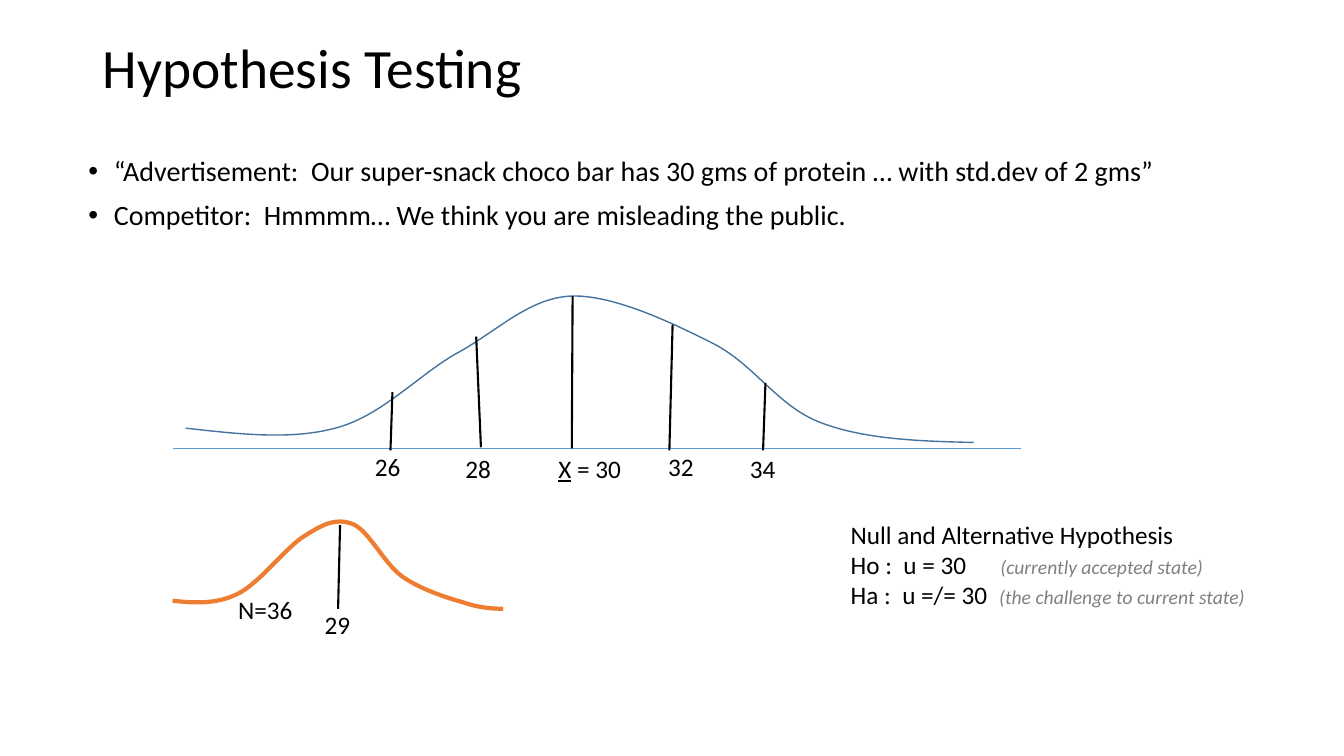
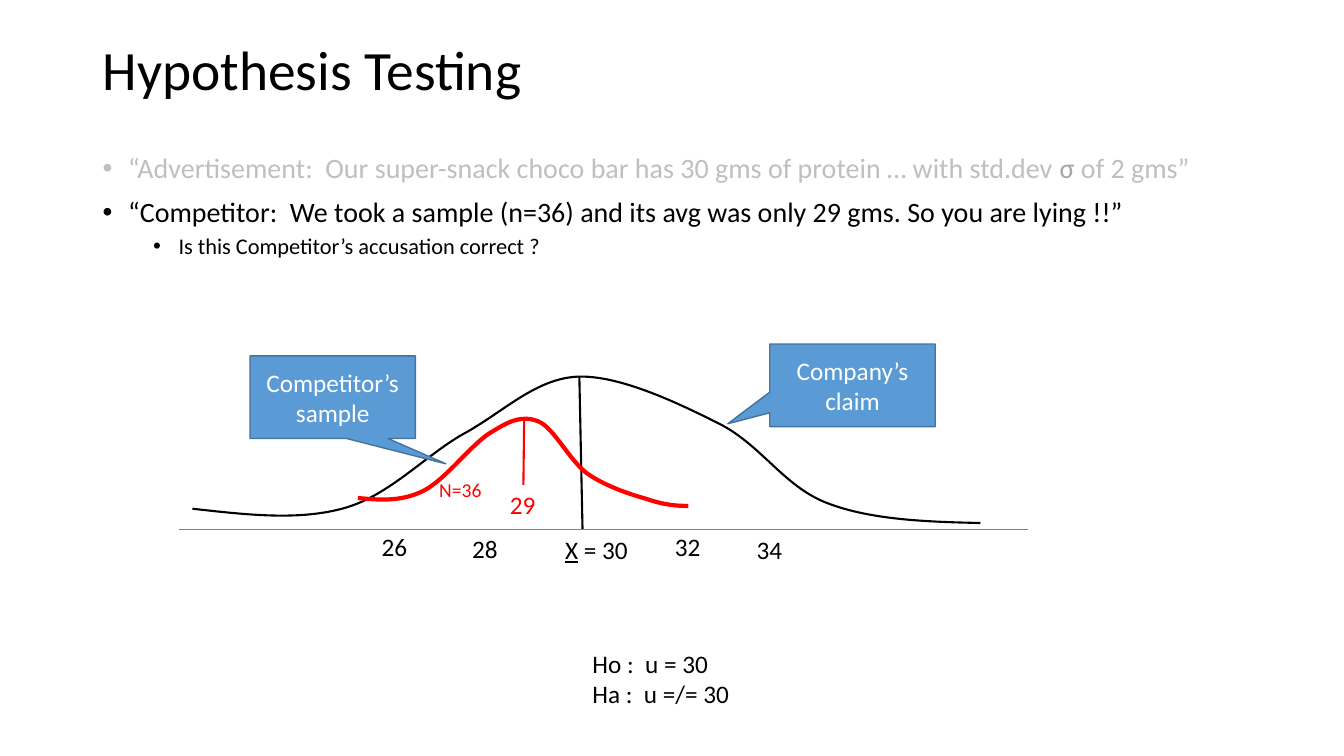
from lxml.etree import SubElement
from pptx import Presentation
from pptx.dml.color import RGBColor
from pptx.enum.shapes import MSO_CONNECTOR, MSO_SHAPE
from pptx.enum.text import MSO_ANCHOR, MSO_AUTO_SIZE, PP_ALIGN
from pptx.oxml.ns import qn
from pptx.util import Cm, Pt

BLACK = RGBColor(0x00, 0x00, 0x00)
WHITE = RGBColor(0xFF, 0xFF, 0xFF)
GRAY = RGBColor(0x80, 0x80, 0x80)
SILVER = RGBColor(0xBF, 0xBF, 0xBF)
SIGMA_GRAY = RGBColor(0xA6, 0xA6, 0xA6)
BLUE = RGBColor(0x5B, 0x9B, 0xD5)
DARK_BLUE = RGBColor(0x43, 0x73, 0x9E)
ORANGE = RGBColor(0xED, 0x7D, 0x31)
RED = RGBColor(0xFF, 0x00, 0x00)

# Paragraph formats
PLAIN = {}
TITLE = {"line_spacing": 0.9}
FIRST_BULLET = {"line_spacing": 0.9, "space_before": Pt(0)}
BULLET = {"line_spacing": 0.9, "space_before": Pt(10)}
SUB_BULLET = {"line_spacing": 0.9, "space_before": Pt(5), "level": 1}
CENTER = {"alignment": PP_ALIGN.CENTER}

# Run formats
HEAD = {"size": Pt(39.6)}
BODY = {"size": Pt(20)}
FADED = {"size": Pt(20), "color": SILVER}
SUB = {"size": Pt(16)}
LABEL = {"size": Pt(18)}
NOTE = {"size": Pt(14), "color": GRAY, "italic": True}

# Curves: a start point, then cubic Bézier triples, in cm from the curve's origin
POPULATION = [
    (0.33, -0.51),
    (1.68, -0.36), (3.02, -0.2), (4.17, -0.53),
    (5.33, -0.86), (6.25, -1.91), (7.24, -2.44),
    (8.23, -3), (9.02, -3.81), (10.08, -3.84),
    (11.15, -3.86), (12.62, -3.15), (13.67, -2.62),
    (14.71, -2.06), (15.27, -1.04), (16.36, -0.64),
    (17.45, -0.23), (18.82, -0.18), (20.19, -0.15),
]
SAMPLE = [
    (0, 2.01),
    (0.53, 2.06), (1.09, 2.11), (1.65, 1.83),
    (2.21, 1.55), (2.87, 0.64), (3.35, 0.36),
    (3.84, 0.05), (4.14, -0.08), (4.55, 0.08),
    (4.95, 0.25), (5.33, 1.07), (5.79, 1.4),
    (6.22, 1.7), (6.83, 1.91), (7.26, 2.03),
    (7.7, 2.18), (8, 2.21), (8.33, 2.21),
]
AXIS = (0, 0, 21.38, 0)
TWO_DIGITS, N_WIDE = 1.17, 1.9
AXIS_LABELS = [
    (4.85, -0.06, TWO_DIGITS, [("26", LABEL)]),
    (7.13, -0.01, TWO_DIGITS, [("28", LABEL)]),
    (9.47, 0, 2.11, [("X", {**LABEL, "underline": True}), (" = 30", LABEL)]),
    (12.24, -0.06, TWO_DIGITS, [("32", LABEL)]),
    (14.3, 0, TWO_DIGITS, [("34", LABEL)]),
]

# A figure: origin, curve, curve colour, curve width,
# lines (ends, colour, width), labels (left, top, width, runs)
SLIDES = [
    {
        "title_height": 1.6,
        "body": (1.98, 3.84),
        "bullets": [
            (FIRST_BULLET, [("“Advertisement:  Our super-snack choco bar has 30 gms of protein … "
                             "with std.dev of 2 gms”", BODY)]),
            (BULLET, [("Competitor:  Hmmmm… We think you are misleading the public.", BODY)]),
        ],
        "figures": [
            ((4.35, 11.3), POPULATION, DARK_BLUE, 1,
             [(AXIS, BLUE, 0.5)] + [(ends, BLACK, 1.5) for ends in (
                 (5.54, -1.42, 5.49, 0.05), (7.65, -2.82, 7.77, -0.03),
                 (10.08, -3.84, 10.06, 0), (12.6, -3.12, 12.52, 0.05),
                 (14.94, -1.65, 14.88, 0.05))],
             AXIS_LABELS),
            ((4.35, 13.13), SAMPLE, ORANGE, 3,
             [((4.22, 0.1, 4.17, 2.21), BLACK, 1.5)],
             [(3.58, 2.1, TWO_DIGITS, [("29", LABEL)]),
              (1.4, 1.72, N_WIDE, [("N=36", LABEL)])]),
        ],
        "hypothesis_box": (21.19, 12.96, 10.54, 2.57),
        "hypotheses": [
            (PLAIN, [("Null and Alternative Hypothesis", LABEL)]),
            ({"tab": 3.77}, [("Ho :  u = 30\t", LABEL), ("(currently accepted state)", NOTE)]),
            ({"tab": 3.74}, [("Ha :  u =/= 30\t", LABEL),
                             ("(the challenge to current state)", NOTE)]),
        ],
        "callouts": [],
    },
    {
        "title_height": 1.7,
        "body": (2.34, 3.76),
        "bullets": [
            (FIRST_BULLET, [("“Advertisement:  Our super-snack choco bar has 30 gms of protein … "
                             "with std.dev ", FADED),
                            ("σ ", {**FADED, "color": SIGMA_GRAY}),
                            ("of 2 gms”", FADED)]),
            (BULLET, [("“Competitor:  We took a sample (n=36) and its avg was only 29 gms. "
                       "So you are lying !!”", BODY)]),
            (SUB_BULLET, [("Is this Competitor’s accusation correct ?", SUB)]),
        ],
        "figures": [
            ((4.52, 13.33), POPULATION, BLACK, 1.5,
             [(AXIS, GRAY, 0.5), ((10.08, -3.84, 10.16, 0), BLACK, 1.5)],
             AXIS_LABELS),
            ((9.02, 10.54), SAMPLE, RED, 3,
             [((4.19, -0.03, 4.17, 1.68), RED, 1.5)],
             [(3.58, 1.67, TWO_DIGITS, [("29", {**LABEL, "color": RED})]),
              (1.8, 1.37, 1.6, [("N=36", {"size": Pt(14), "color": RED})])]),
        ],
        "hypothesis_box": (14.68, 16.2, 4.01, 1.8),
        "hypotheses": [
            (PLAIN, [("Ho :  u = 30", LABEL)]),
            (PLAIN, [("Ha :  u =/= 30", LABEL)]),
        ],
        "callouts": [
            ("Company’s claim", (19.4, 8.67), (-0.754, 0.466)),
            ("Competitor’s sample", (6.3, 8.97), (0.684, 0.807)),
        ],
    },
]


def write(tf, paragraphs, bulleted=False):
    """Fill a text frame with (paragraph format, [(text, run format)]) pairs."""
    for i, (layout, runs) in enumerate(paragraphs):
        p = tf.paragraphs[0] if i == 0 else tf.add_paragraph()
        for name, value in layout.items():
            if name != "tab":
                setattr(p, name, value)
        pPr = p._p.get_or_add_pPr()
        if bulleted:
            pPr.set("marL", str(Cm(0.64 + 1.27 * p.level)))
            pPr.set("indent", str(Cm(-0.64)))
            SubElement(pPr, qn("a:buFont")).set("typeface", "Arial")
            SubElement(pPr, qn("a:buChar")).set("char", "•")
        if "tab" in layout:
            tab = SubElement(SubElement(pPr, qn("a:tabLst")), qn("a:tab"))
            tab.set("pos", str(Cm(layout["tab"])))
            tab.set("algn", "l")
        for text, style in runs:
            r = p.add_run()
            r.text = text
            r.font.name = "Calibri"
            r.font.color.rgb = style.get("color", BLACK)
            for name, value in style.items():
                if name != "color":
                    setattr(r.font, name, value)


def add_text(s, box, paragraphs, wrap=False, bulleted=False):
    tf = s.shapes.add_textbox(*map(Cm, box)).text_frame
    tf.word_wrap = wrap
    tf.auto_size = MSO_AUTO_SIZE.NONE if wrap else MSO_AUTO_SIZE.SHAPE_TO_FIT_TEXT
    write(tf, paragraphs, bulleted)
    return tf


prs = Presentation()
prs.slide_width, prs.slide_height = Cm(33.87), Cm(19.05)

for content in SLIDES:
    s = prs.slides.add_slide(prs.slide_layouts[6])
    tf = add_text(s, (2.34, 0.99, 29.21, content["title_height"]),
                  [(TITLE, [("Hypothesis Testing", HEAD)])], wrap=True)
    tf.vertical_anchor = MSO_ANCHOR.MIDDLE
    add_text(s, (*content["body"], 29.21, 12.09), content["bullets"],
             wrap=True, bulleted=True)

    for (x, y), curve, color, width, lines, labels in content["figures"]:
        points = [(Cm(x + dx), Cm(y + dy)) for dx, dy in curve]
        outline = s.shapes.build_freeform(*points[0])
        outline.add_line_segments(points[3::3], close=False)
        sp = outline.convert_to_shape()
        # Turn each straight segment into a Bézier segment
        for i, segment in enumerate(list(sp._element.iter(qn("a:lnTo")))):
            segment.clear()
            segment.tag = qn("a:cubicBezTo")
            for px, py in points[3 * i + 1:3 * i + 4]:
                pt = SubElement(segment, qn("a:pt"))
                pt.set("x", str(px - sp.left))
                pt.set("y", str(py - sp.top))
        sp.shadow.inherit = False
        sp.fill.background()
        sp.line.color.rgb = color
        sp.line.width = Pt(width)

        for (x1, y1, x2, y2), line_color, line_width in lines:
            line = s.shapes.add_connector(MSO_CONNECTOR.STRAIGHT, Cm(x + x1), Cm(y + y1),
                                          Cm(x + x2), Cm(y + y2))
            line.line.color.rgb = line_color
            line.line.width = Pt(line_width)
            SubElement(line._element.spPr, qn("a:effectLst"))

        for dx, dy, w, runs in labels:
            add_text(s, (x + dx, y + dy, w, 1.02), [(PLAIN, runs)])

    add_text(s, content["hypothesis_box"], content["hypotheses"])

    for text, corner, pointer in content["callouts"]:
        sp = s.shapes.add_shape(MSO_SHAPE.RECTANGULAR_CALLOUT, *map(Cm, (*corner, 4.17, 2.08)))
        sp.adjustments[0], sp.adjustments[1] = pointer
        sp.shadow.inherit = False
        sp.fill.solid()
        sp.fill.fore_color.rgb = BLUE
        sp.line.color.rgb = DARK_BLUE
        sp.line.width = Pt(1)
        sp.text_frame.word_wrap = True
        sp.text_frame.vertical_anchor = MSO_ANCHOR.MIDDLE
        write(sp.text_frame, [(CENTER, [(text, {**LABEL, "color": WHITE})])])

prs.save("out.pptx")
